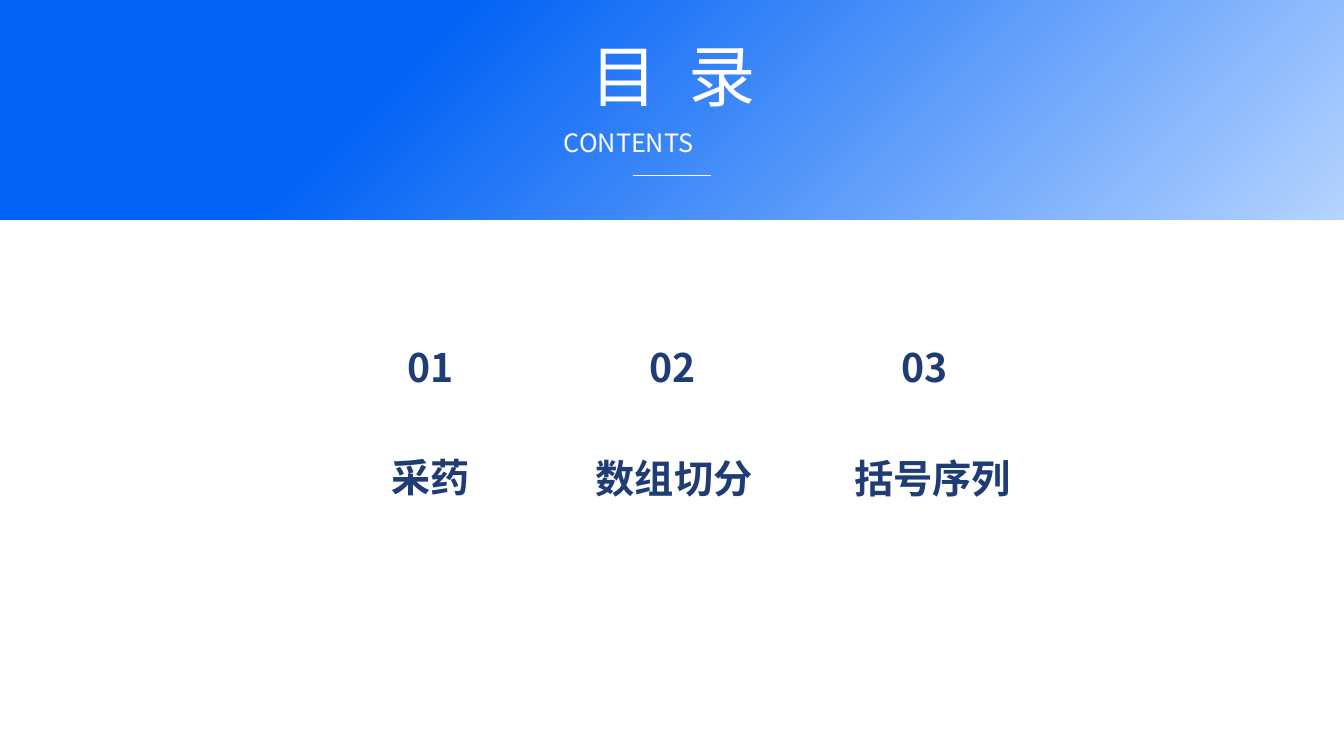
"""Build the contents slide: a gradient banner over three numbered topics."""
import dataclasses

import lxml.etree
import pptx
import pptx.dml.color
import pptx.enum.shapes
import pptx.enum.text
import pptx.oxml.ns
import pptx.util

Inch = pptx.util.Inches
Align = pptx.enum.text.PP_ALIGN
qn = pptx.oxml.ns.qn


@dataclasses.dataclass(frozen=True)
class Theme:
    """Colours, font and type sizes of the slide."""
    face: str = "Noto Sans CJK SC"
    blue: str = "0162F5"
    pale: str = "B4D3FF"
    navy: str = "1F3D74"
    white: str = "FFFFFF"
    head: int = 96
    sub: int = 36
    item: int = 56
    rule: float = 1.75


@dataclasses.dataclass(frozen=True)
class Box:
    """A place on the slide, in inches."""
    left: float
    top: float
    wide: float
    high: float

    def place(self) -> list:
        """Return the four lengths for python-pptx."""
        return [Inch(n) for n in dataclasses.astuple(self)]


@dataclasses.dataclass(frozen=True)
class Topic:
    """A topic with the centres of its number and its name."""
    name: str
    num_x: float
    name_x: float
    name_y: float = 8.97


THEME = Theme()
WIDE, HIGH = 26.67, 15
NUM_Y, NUM_W, NAME_W, ITEM_H = 6.76, 1.71, 4.64, 1.04
TOPICS = [
    Topic("采药", 8.54, 8.54, 8.95),
    Topic("数组切分", 13.34, 13.38),
    Topic("括号序列", 18.34, 18.51),
]


def tint(code: str) -> pptx.dml.color.RGBColor:
    """Turn a hex code into a colour."""
    return pptx.dml.color.RGBColor.from_string(code)


def write(shape, text: str, size: int, code: str, bold: bool = False,
          align=Align.CENTER, inset: float = 0) -> None:
    """Set the text of a shape and its format."""
    frame = shape.text_frame
    frame.text = text
    frame.word_wrap = True
    frame.auto_size = pptx.enum.text.MSO_AUTO_SIZE.NONE
    frame.vertical_anchor = pptx.enum.text.MSO_ANCHOR.MIDDLE
    frame.margin_left = frame.margin_right = Inch(inset)
    frame.margin_top = frame.margin_bottom = 0
    para = frame.paragraphs[0]
    para.alignment = align
    font = para.font
    font.size, font.bold, font.name = pptx.util.Pt(size), bold, THEME.face
    font.color.rgb = tint(code)
    props = para._p.pPr.find(qn("a:defRPr"))
    lxml.etree.SubElement(props, qn("a:ea"), typeface=THEME.face)


def label(slide, box: Box, text: str, size: int, code: str, **style) -> None:
    """Add a text box."""
    write(slide.shapes.add_textbox(*box.place()), text, size, code, **style)


def banner(slide) -> None:
    """Add the gradient banner behind everything else."""
    kind = pptx.enum.shapes.MSO_SHAPE.ROUNDED_RECTANGLE
    shape = slide.shapes.add_shape(kind, *Box(0, -0.23, WIDE, 4.59).place())
    shape.adjustments[0] = 0
    shape.shadow.inherit = False
    shape.line.fill.background()
    shape.fill.gradient()
    shape.fill.gradient_angle = 315
    stops = [(0.3, THEME.blue), (1, THEME.pale)]
    for stop, (share, code) in zip(shape.fill.gradient_stops, stops):
        stop.position = share
        stop.color.rgb = tint(code)
    slide.shapes._spTree.insert(2, shape._element)


def title(slide) -> None:
    """Fill the title and add the subtitle with its rule."""
    head = slide.shapes.title
    head.left, head.top, head.width, head.height = Box(
        10.23, 0.63, 6.25, 1.72).place()
    write(head, "目  录", THEME.head, THEME.white)
    label(slide, Box(11.12, 2.48, 4.43, 0.71), "CONTENTS", THEME.sub,
          THEME.white, align=Align.JUSTIFY, inset=0.07)
    kind = pptx.enum.shapes.MSO_CONNECTOR.STRAIGHT
    ends = [Inch(n) for n in (12.56, 3.49, 14.11, 3.49)]
    rule = slide.shapes.add_connector(kind, *ends)
    rule.line.color.rgb = tint(THEME.white)
    rule.line.width = pptx.util.Pt(THEME.rule)
    lxml.etree.SubElement(rule._element.spPr, qn("a:effectLst"))


def topics(slide) -> None:
    """Add each topic's number and name."""
    for rank, topic in enumerate(TOPICS, 1):
        cells = [
            (f"{rank:02}", topic.num_x, NUM_Y, NUM_W),
            (topic.name, topic.name_x, topic.name_y, NAME_W),
        ]
        for text, mid, top, wide in cells:
            label(slide, Box(mid - wide / 2, top, wide, ITEM_H), text,
                  THEME.item, THEME.navy, bold=True)


def main() -> None:
    """Build and save the deck."""
    deck = pptx.Presentation()
    deck.slide_width, deck.slide_height = Inch(WIDE), Inch(HIGH)
    slide = deck.slides.add_slide(deck.slide_layouts.get_by_name("Title Only"))
    banner(slide)
    title(slide)
    topics(slide)
    deck.save("out.pptx")


main()
